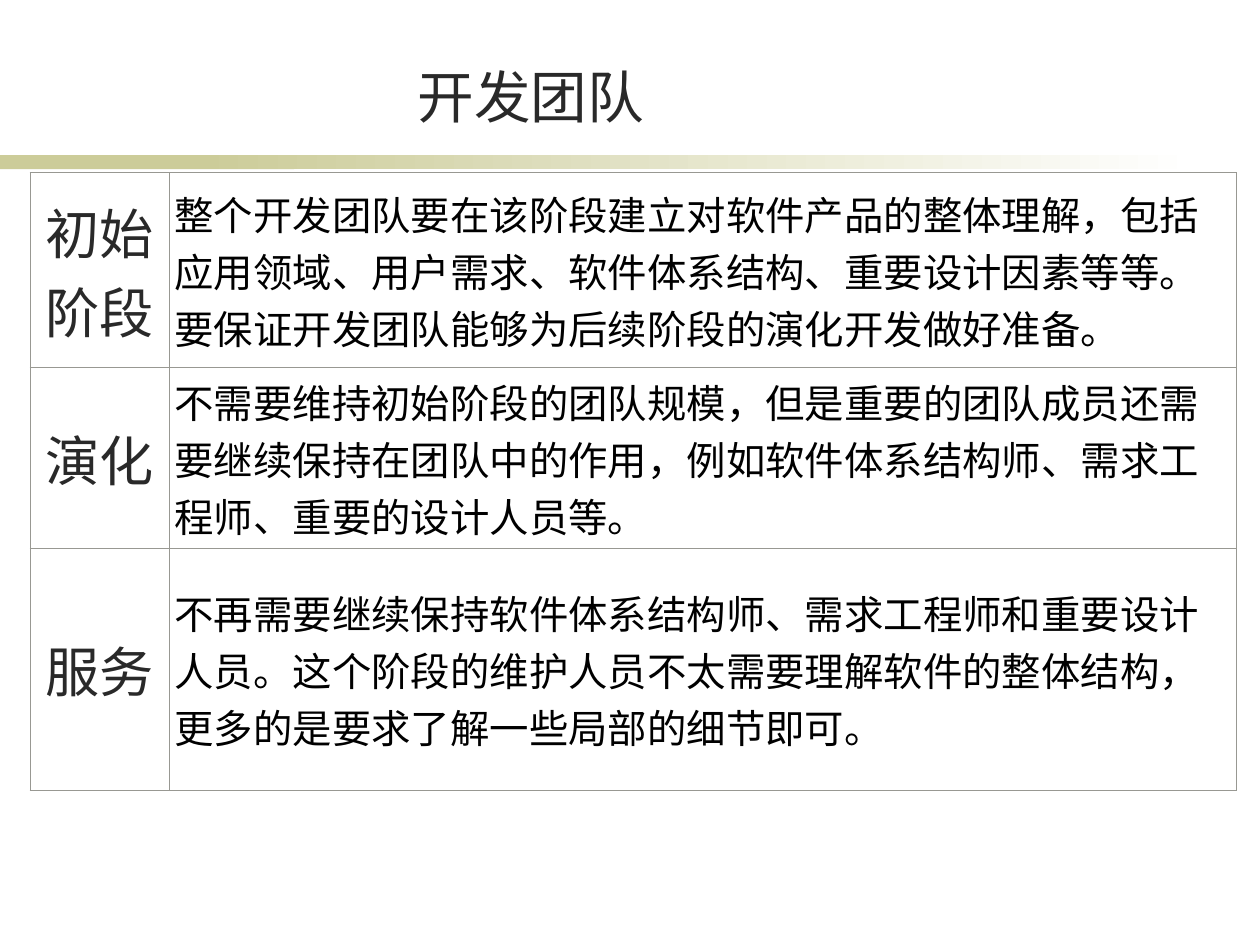
from dataclasses import dataclass

from lxml import etree
from pptx import Presentation
from pptx.dml.color import RGBColor
from pptx.enum.dml import MSO_FILL
from pptx.enum.shapes import MSO_SHAPE
from pptx.enum.text import MSO_ANCHOR, MSO_AUTO_SIZE, PP_ALIGN
from pptx.oxml.ns import qn
from pptx.util import Inches, Pt

RECTANGLE = MSO_SHAPE.RECTANGLE
GRADIENT = MSO_FILL.GRADIENT
MIDDLE, BOTTOM = MSO_ANCHOR.MIDDLE, MSO_ANCHOR.BOTTOM
LEFT, CENTER = PP_ALIGN.LEFT, PP_ALIGN.CENTER
NO_AUTOFIT = MSO_AUTO_SIZE.NONE

COLORS = {
    "olive": "CCCC99",
    "white": "FFFFFF",
    "heading": "292929",
    "body": "000000",
    "border": "989892",
}
SLIDE_WIDTH, SLIDE_HEIGHT = 14.22, 10.66
TABLE_LEFT, TABLE_TOP = 0.34, 1.95
COLUMN_WIDTHS = (1.57, 12.05)
BAR_TOP, BAR_HEIGHT = 1.75, 0.16
BORDER_WIDTH = Pt(0.96)
CELL_FORMAT = {
    "vertical_anchor": MIDDLE,
    "margin_left": Inches(0.06),
    "margin_right": Inches(0.06),
    "margin_top": Inches(0.05),
    "margin_bottom": Inches(0.05),
}
TITLE_BOX = {
    "left": Inches(1.62),
    "top": Inches(0.63),
    "width": Inches(8.74),
    "height": Inches(0.9),
}
TITLE_FRAME = {
    "auto_size": NO_AUTOFIT,
    "word_wrap": True,
    "vertical_anchor": BOTTOM,
    "margin_left": Inches(0.14),
    "margin_right": Inches(0.14),
    "margin_top": Inches(0.07),
    "margin_bottom": Inches(0.07),
}


@dataclass(frozen=True)
class TextStyle:
    font: str
    size: int
    color: str
    align: PP_ALIGN


@dataclass(frozen=True)
class Bar:
    left: float
    width: float
    stops: tuple[str, ...]


@dataclass(frozen=True)
class Stage:
    name: str
    team: str
    height: float


TITLE_STYLE = TextStyle("Arial", 46, "heading", CENTER)
COLUMN_STYLES = (
    TextStyle("Cambria", 44, "heading", CENTER),
    TextStyle("Arial", 32, "body", LEFT),
)
BARS = (
    Bar(0, 3.32, ("olive",)),
    Bar(2.25, 11.26, ("olive", "white")),
)
STAGES = (
    Stage(
        "初始阶段",
        "整个开发团队要在该阶段建立对软件产品的整体理解，包括应用领域、用户需求、"
        "软件体系结构、重要设计因素等等。要保证开发团队能够为后续阶段的演化开发做好准备。",
        2.2,
    ),
    Stage(
        "演化",
        "不需要维持初始阶段的团队规模，但是重要的团队成员还需要继续保持在团队中的作用，"
        "例如软件体系结构师、需求工程师、重要的设计人员等。",
        1.97,
    ),
    Stage(
        "服务",
        "不再需要继续保持软件体系结构师、需求工程师和重要设计人员。"
        "这个阶段的维护人员不太需要理解软件的整体结构，更多的是要求了解一些局部的细节即可。",
        2.73,
    ),
)


def apply(target, values: dict) -> None:
    for name, value in values.items():
        setattr(target, name, value)


def color(name: str) -> RGBColor:
    return RGBColor.from_string(COLORS[name])


def write(frame, text: str, style: TextStyle) -> None:
    para = frame.paragraphs[0]
    para.alignment = style.align
    span = para.add_run()
    span.text = text
    apply(span.font, {"name": style.font, "size": Pt(style.size), "bold": False})
    span.font.color.rgb = color(style.color)


def draw_bar(page, bar: Bar) -> None:
    box = page.shapes.add_shape(
        RECTANGLE, Inches(bar.left), Inches(BAR_TOP), Inches(bar.width), Inches(BAR_HEIGHT)
    )
    box.shadow.inherit = False
    box.line.fill.background()
    if len(bar.stops) == 1:
        box.fill.solid()
        box.fill.fore_color.rgb = color(bar.stops[0])
        return
    box.fill.gradient()
    box.fill.gradient_angle = 0
    for position, (stop, name) in enumerate(zip(box.fill.gradient_stops, bar.stops)):
        stop.position = position
        stop.color.rgb = color(name)


def set_borders(cell) -> None:
    properties = cell._tc.get_or_add_tcPr()
    for index, side in enumerate(("a:lnL", "a:lnR", "a:lnT", "a:lnB")):
        line = etree.Element(qn(side), w=str(int(BORDER_WIDTH)))
        fill = etree.SubElement(line, qn("a:solidFill"))
        etree.SubElement(fill, qn("a:srgbClr"), val=COLORS["border"])
        properties.insert(index, line)


def draw_table(page, stages: tuple[Stage, ...]) -> None:
    table = page.shapes.add_table(
        len(stages),
        len(COLUMN_WIDTHS),
        Inches(TABLE_LEFT),
        Inches(TABLE_TOP),
        Inches(sum(COLUMN_WIDTHS)),
        Inches(sum(stage.height for stage in stages)),
    ).table
    apply(table, {"first_row": False, "horz_banding": False})
    for column, width in zip(table.columns, COLUMN_WIDTHS):
        column.width = Inches(width)
    for row, stage in zip(table.rows, stages):
        row.height = Inches(stage.height)
        for cell, text, style in zip(row.cells, (stage.name, stage.team), COLUMN_STYLES):
            apply(cell, CELL_FORMAT)
            cell.fill.background()
            set_borders(cell)
            write(cell.text_frame, text, style)


def main() -> None:
    deck = Presentation()
    apply(deck, {"slide_width": Inches(SLIDE_WIDTH), "slide_height": Inches(SLIDE_HEIGHT)})
    page = deck.slides.add_slide(deck.slide_layouts.get_by_name("Title Only"))
    for bar in BARS:
        draw_bar(page, bar)
    title = page.shapes.title
    apply(title, TITLE_BOX)
    apply(title.text_frame, TITLE_FRAME)
    write(title.text_frame, "开发团队", TITLE_STYLE)
    draw_table(page, STAGES)
    deck.save("out.pptx")


if __name__ == "__main__":
    main()
